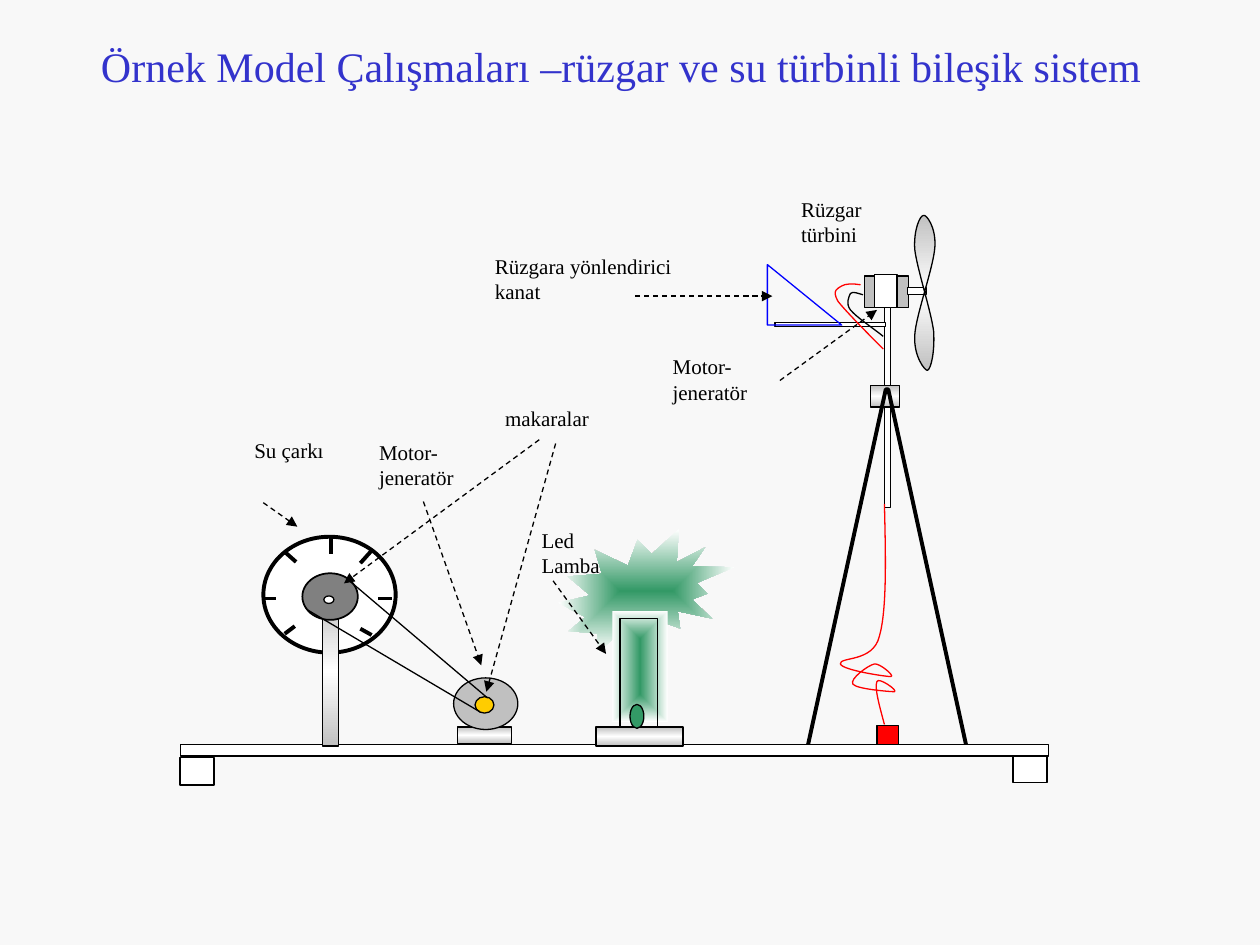
import pptx
import pptx.util
import pptx.dml.color
import pptx.oxml
import pptx.oxml.ns
from dataclasses import dataclass
from typing import Any
from pptx.enum.dml import MSO_LINE
from pptx.enum.shapes import MSO_CONNECTOR, MSO_SHAPE
from pptx.enum.text import MSO_ANCHOR, MSO_AUTO_SIZE, PP_ALIGN

Inches, Pt, qn = pptx.util.Inches, pptx.util.Pt, pptx.oxml.ns.qn
NAMESPACE = pptx.oxml.ns.nsdecls("a")
FONT = "Times New Roman"
COLORS = {
    "background": "F8F8F8", "title": "3333CC", "black": "000000", "white": "FFFFFF",
    "silver": "C0C0C0", "gray": "808080", "blue": "0000FF", "red": "FF0000",
    "green": "339966", "yellow": "FFCC00",
}
# Gradient stops with the geometry that spreads them
GRADIENTS = {
    "metal": (["silver", "white", "silver"], '<a:lin ang="5400000" scaled="0"/>'),
    "glow": (["green", "white"], '<a:path path="rect"><a:fillToRect l="50000" t="50000" '
                                 'r="50000" b="50000"/></a:path>'),
}
RECT, OVAL = MSO_SHAPE.RECTANGLE, MSO_SHAPE.OVAL


def rgb(name):
    return pptx.dml.color.RGBColor.from_string(COLORS[name])


def set_font(font, size, color):
    values = {"name": FONT, "size": Pt(size), "bold": False}
    for name, value in values.items():
        setattr(font, name, value)
    font.color.rgb = rgb(color)


def paint(shape, fill, line, width):
    shape.shadow.inherit = False
    shape.fill.background()
    if fill in GRADIENTS:
        names, geometry = GRADIENTS[fill]
        stops = "".join(
            f'<a:gs pos="{100000 * index // (len(names) - 1)}"><a:srgbClr val="{COLORS[name]}"/></a:gs>'
            for index, name in enumerate(names))
        gradient = pptx.oxml.parse_xml(
            f'<a:gradFill {NAMESPACE} rotWithShape="1"><a:gsLst>{stops}</a:gsLst>{geometry}</a:gradFill>')
        empty = shape._element.spPr.find(qn("a:noFill"))
        empty.getparent().replace(empty, gradient)
    elif fill:
        shape.fill.solid()
        shape.fill.fore_color.rgb = rgb(fill)
    if line:
        shape.line.color.rgb = rgb(line)
        shape.line.width = Pt(width)
    else:
        shape.line.fill.background()


def bend(shape):
    """Turn each three straight segments into one cubic curve."""
    segments = list(shape._element.iter(qn("a:lnTo")))
    for index in range(0, len(segments), 3):
        curve = pptx.oxml.parse_xml(f"<a:cubicBezTo {NAMESPACE}/>")
        segments[index].addprevious(curve)
        for segment in segments[index:index + 3]:
            curve.append(segment[0])
            segment.getparent().remove(segment)


@dataclass
class Region:
    """Draws parts, in inches, relative to its own top left corner."""
    shapes: Any
    left: float
    top: float

    def place(self, x, y):
        return Inches(self.left + x), Inches(self.top + y)

    def shape(self, kind, box, fill=None, line="black", width=0.75):
        x, y, wide, high = box
        shape = self.shapes.add_shape(kind, *self.place(x, y), Inches(wide), Inches(high))
        paint(shape, fill, line, width)

    def line(self, start, end, width=0.75, arrow=False):
        connector = self.shapes.add_connector(
            MSO_CONNECTOR.STRAIGHT, *self.place(*start), *self.place(*end))
        connector.line.color.rgb = rgb("black")
        connector.line.width = Pt(width)
        if arrow:
            connector.line.dash_style = MSO_LINE.DASH
            head = pptx.oxml.parse_xml(f'<a:tailEnd {NAMESPACE} type="triangle"/>')
            connector.line._get_or_add_ln().append(head)
        connector._element.spPr.append(pptx.oxml.parse_xml(f"<a:effectLst {NAMESPACE}/>"))

    def outline(self, points, closed=False, curved=True, fill=None, line="black", width=0.75):
        first, *rest = [self.place(*point) for point in points]
        builder = self.shapes.build_freeform(*first)
        builder.add_line_segments(rest, close=False)
        shape = builder.convert_to_shape()
        if curved:
            bend(shape)
        if closed:
            outline_path = next(shape._element.iter(qn("a:path")))
            outline_path.append(pptx.oxml.parse_xml(f"<a:close {NAMESPACE}/>"))
        paint(shape, fill, line, width)

    def label(self, text, x, y, wide, high=0.56):
        box = self.shapes.add_textbox(*self.place(x, y), Inches(wide), Inches(high))
        box.text_frame.word_wrap = True
        paragraph = box.text_frame.paragraphs[0]
        paragraph.text = text
        set_font(paragraph.runs[0].font, 12, "black")


def draw_title(slide, left, top, width, height):
    title = slide.shapes.title
    box = {"left": left, "top": top, "width": width, "height": height}
    for name, value in box.items():
        setattr(title, name, Inches(value))
    frame = title.text_frame
    frame.text = "Örnek Model Çalışmaları –rüzgar ve su türbinli bileşik sistem"
    frame.auto_size = MSO_AUTO_SIZE.NONE
    frame.vertical_anchor = MSO_ANCHOR.MIDDLE
    frame.paragraphs[0].alignment = PP_ALIGN.CENTER
    set_font(frame.paragraphs[0].runs[0].font, 24, "title")


def draw_wind_turbine(shapes, left, top):
    region = Region(shapes, left, top)
    # Motor and pole
    region.shape(RECT, (0.77, 0.49, 0.35, 0.25), "silver")
    for box in [(0.85, 0.48, 0.18, 0.26), (1.11, 0.58, 0.15, 0.06), (0.93, 0.74, 0.05, 1.59)]:
        region.shape(RECT, box, "white")
    # Propeller
    region.outline([
        (1.17, 0.28), (1.16, 0.13), (1.21, 0.01), (1.24, 0.01), (1.26, 0), (1.34, 0.1), (1.33, 0.26),
        (1.32, 0.42), (1.18, 0.8), (1.17, 0.96), (1.16, 1.13), (1.25, 1.24), (1.27, 1.24),
        (1.3, 1.23), (1.33, 1.09), (1.32, 0.93), (1.3, 0.77), (1.19, 0.44), (1.17, 0.28),
    ], closed=True, fill="metal")
    # Steering vane, collar and legs
    region.shape(RECT, (0.06, 0.86, 0.88, 0.03), "white")
    region.shape(MSO_SHAPE.RIGHT_TRIANGLE, (0, 0.4, 0.59, 0.48), line="blue")
    region.shape(RECT, (0.82, 1.36, 0.23, 0.17), "metal")
    region.outline([(1.59, 4.27), (0.31, 4.27), (0.94, 1.39), (0.96, 1.39)],
                   closed=True, curved=False, width=2.25)
    # Wires and socket
    region.outline([(0.76, 0.64), (0.72, 0.63), (0.68, 0.61), (0.66, 0.63), (0.65, 0.65),
                    (0.62, 0.71), (0.66, 0.76), (0.71, 0.82), (0.82, 0.89), (0.92, 0.97)])
    region.outline([(0.74, 0.56), (0.68, 0.55), (0.62, 0.55), (0.59, 0.57), (0.56, 0.59),
                    (0.51, 0.6), (0.56, 0.69), (0.62, 0.77), (0.86, 1.01), (0.92, 1.07)], line="red")
    region.outline([
        (0.93, 2.3), (0.94, 2.72), (0.95, 3.14), (0.89, 3.35), (0.84, 3.56), (0.57, 3.51), (0.58, 3.57),
        (0.6, 3.62), (0.94, 3.67), (0.98, 3.67), (1.02, 3.67), (0.89, 3.56), (0.85, 3.57),
        (0.8, 3.58), (0.65, 3.69), (0.68, 3.73), (0.71, 3.77), (0.98, 3.79), (1.01, 3.79),
        (1.04, 3.78), (0.88, 3.67), (0.87, 3.71), (0.85, 3.76), (0.89, 3.9), (0.93, 4.05),
    ], line="red")
    region.shape(RECT, (0.87, 4.06, 0.17, 0.16), "red")


def draw_bench(shapes, left, top):
    region = Region(shapes, left, top)
    for box in [(0, 0.1, 0.27, 0.22), (6.61, 0.08, 0.27, 0.22), (0, 0, 6.89, 0.09)]:
        region.shape(RECT, box, "white")


def draw_lamp(shapes, left, top):
    region = Region(shapes, left, top)
    region.shape(MSO_SHAPE.EXPLOSION2, (0, 0, 1.4, 0.98), "glow", line=None)
    region.shape(RECT, (0.43, 0.65, 0.44, 0.88), "glow", line=None)
    region.shape(RECT, (0.49, 0.71, 0.3, 0.87))
    region.shape(RECT, (0.3, 1.57, 0.69, 0.15), "metal")
    region.shape(OVAL, (0.57, 1.39, 0.11, 0.19), "green")


def draw_water_wheel(shapes, left, top):
    region = Region(shapes, left, top)
    # Rim, axle and paddles
    for box in [(0, 0, 1.05, 0.92), (0.5, 0.45, 0.08, 0.07)]:
        region.shape(OVAL, box, "white", width=2.25)
    for start, end in [((0.54, 0.01), (0.54, 0.14)), ((0.91, 0.49), (1.02, 0.49)),
                       ((0, 0.49), (0.1, 0.49)), ((0.86, 0.11), (0.77, 0.21)),
                       ((0.25, 0.71), (0.17, 0.77)), ((0.17, 0.12), (0.26, 0.2)),
                       ((0.77, 0.73), (0.86, 0.78))]:
        region.line(start, end, width=2.25)
    # Post, pulley and hub
    region.shape(RECT, (0.47, 0.47, 0.13, 1.19), "metal")
    region.shape(OVAL, (0.31, 0.29, 0.44, 0.37), "gray", width=1)
    region.shape(OVAL, (0.48, 0.47, 0.08, 0.06), "white")


def draw_generator(shapes, left, top):
    region = Region(shapes, left, top)
    region.shape(RECT, (0.03, 0.39, 0.43, 0.13), "metal")
    region.shape(OVAL, (0, 0, 0.51, 0.41), "silver")
    region.shape(OVAL, (0.17, 0.15, 0.15, 0.13), "yellow")
    # Belt to the wheel pulley
    region.line((-0.85, -0.79), (0.27, 0.16))
    region.line((0.21, 0.27), (-1.16, -0.54))


def draw_labels(shapes, left, top):
    region = Region(shapes, left, top)
    for label in [("Led Lamba", 2.28, 2.63, 0.79), ("Rüzgara yönlendirici kanat", 1.91, 0.45, 1.65, 0.7),
                  ("Rüzgar türbini", 4.34, 0, 0.96, 0.63), ("Su çarkı", 0, 1.91, 0.79),
                  ("Motor-jeneratör", 3.32, 1.25, 1.05), ("Motor-jeneratör", 0.99, 1.93, 1.05),
                  ("makaralar", 1.99, 1.66, 1.05)]:
        region.label(*label)
    # Pointers
    for start, end in [((0.17, 2.48), (0.44, 2.67)), ((1.44, 2.47), (1.9, 3.77)),
                       ((2.47, 3.1), (2.89, 3.68)), ((4.27, 1.51), (5.04, 0.95)),
                       ((3.12, 0.84), (4.21, 0.84)), ((2.36, 1.98), (0.81, 3.12)),
                       ((2.49, 2.01), (1.94, 3.98))]:
        region.line(start, end, arrow=True)


presentation = pptx.Presentation()
presentation.slide_width, presentation.slide_height = Inches(10), Inches(7.5)
slide = presentation.slides.add_slide(presentation.slide_layouts[5])
slide.background.fill.solid()
slide.background.fill.fore_color.rgb = rgb("background")
draw_title(slide, 0.63, 0.31, 8.6, 0.42)
model = slide.shapes.add_group_shape().shapes
for draw, left, top in [(draw_wind_turbine, 6.09, 1.7), (draw_bench, 1.43, 5.91), (draw_lamp, 4.43, 4.2),
                        (draw_water_wheel, 2.09, 4.26), (draw_generator, 3.6, 5.38),
                        (draw_labels, 1.92, 1.51)]:
    draw(model, left, top)
presentation.save("out.pptx")
